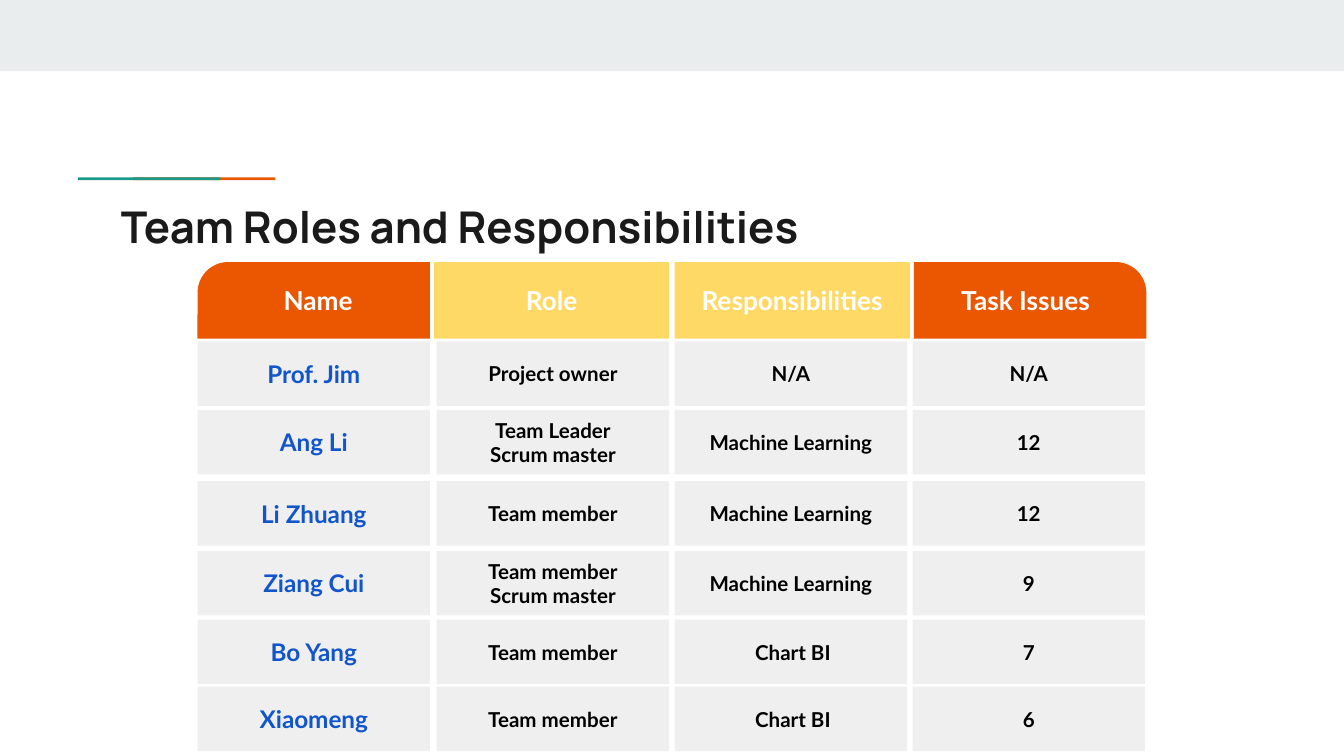
from pptx import Presentation
from pptx.dml.color import RGBColor
from pptx.enum.shapes import MSO_SHAPE as Preset
from pptx.enum.text import MSO_ANCHOR as Anchor, PP_ALIGN as Align
from pptx.util import Inches, Pt

WHITE = RGBColor(0xFF, 0xFF, 0xFF)
BLACK = RGBColor(0x00, 0x00, 0x00)
INK = RGBColor(0x1A, 0x1A, 0x1A)
MIST = RGBColor(0xE9, 0xED, 0xEE)
GREY = RGBColor(0xEF, 0xEF, 0xEF)
ORANGE = RGBColor(0xEB, 0x56, 0x00)
TEAL = RGBColor(0x1A, 0x99, 0x88)
YELLOW = RGBColor(0xFF, 0xD9, 0x66)
BLUE = RGBColor(0x11, 0x55, 0xCC)

TITLE = "Team Roles and Responsibilities"
HEADERS = [
    ("Name", 1.47, 1.73, ORANGE, Preset.ROUND_1_RECTANGLE),
    ("Role", 3.23, 1.75, YELLOW, Preset.RECTANGLE),
    ("Responsibilities", 5.02, 1.75, YELLOW, Preset.RECTANGLE),
    ("Task Issues", 6.8, 1.73, ORANGE, Preset.ROUND_1_RECTANGLE),
]
MEMBERS = [
    (2.54, ["Prof. Jim", "Project owner", "N/A", "N/A"]),
    (3.05, ["Ang Li", "Team Leader\nScrum master", "Machine Learning", "12"]),
    (3.58, ["Li Zhuang", "Team member", "Machine Learning", "12"]),
    (4.1, ["Ziang Cui", "Team member\nScrum master", "Machine Learning", "9"]),
    (4.61, ["Bo Yang", "Team member", "Chart BI", "7"]),
    (5.11, ["Xiaomeng", "Team member", "Chart BI", "6"]),
]
INDENTED = "Chart BI"
COLUMN_LEFTS = [1.47, 3.25, 5.02, 6.79]
CELL_WIDTH, CELL_HEIGHT = 1.73, 0.48
HEADER_TOP, HEADER_HEIGHT = 1.95, 0.57
HEADER_ROUNDING = 0.4


def write_text(shape, text, size, color, font="Lato", align=Align.CENTER,
               anchor=Anchor.MIDDLE, indent=0):
    frame = shape.text_frame
    frame.word_wrap = True
    frame.vertical_anchor = anchor
    frame.margin_left = frame.margin_right = Inches(0.1)
    frame.margin_top = frame.margin_bottom = Inches(0.1)
    frame.text = text
    for paragraph in frame.paragraphs:
        paragraph.alignment = align
        if indent:
            paragraph._p.get_or_add_pPr().set("marL", str(Inches(indent)))
        for run in paragraph.runs:
            run.font.name = font
            run.font.size = Pt(size)
            run.font.bold = True
            run.font.color.rgb = color


def add_block(slide, left, top, width, height, fill, preset=Preset.RECTANGLE):
    shape = slide.shapes.add_shape(
        preset, Inches(left), Inches(top), Inches(width), Inches(height))
    shape.shadow.inherit = False
    shape.fill.solid()
    shape.fill.fore_color.rgb = fill
    shape.line.fill.background()
    return shape


def add_title(slide):
    title = slide.shapes.title
    title.left, title.top = Inches(0.8), Inches(1.39)
    title.width, title.height = Inches(8.41), Inches(0.59)
    write_text(title, TITLE, 23.4, INK, font="Manrope",
               align=Align.LEFT, anchor=Anchor.TOP)


def add_headers(slide):
    for index, (label, left, width, fill, preset) in enumerate(HEADERS):
        header = add_block(slide, left, HEADER_TOP, width, HEADER_HEIGHT,
                           fill, preset)
        if preset == Preset.ROUND_1_RECTANGLE:
            header.adjustments[0] = HEADER_ROUNDING
            if index == 0:
                header._element.spPr.xfrm.set("flipH", "1")
        write_text(header, label, 14, WHITE)


def add_members(slide):
    for top, values in MEMBERS:
        for column, (left, value) in enumerate(zip(COLUMN_LEFTS, values)):
            cell = add_block(slide, left, top, CELL_WIDTH, CELL_HEIGHT, GREY)
            if column == 0:
                write_text(cell, value, 13, BLUE)
            elif value == INDENTED:
                write_text(cell, value, 11, BLACK, align=Align.LEFT, indent=0.5)
            else:
                write_text(cell, value, 11, BLACK)


def main():
    presentation = Presentation()
    presentation.slide_width = Inches(10)
    presentation.slide_height = Inches(10) * 9 // 16
    slide = presentation.slides.add_slide(presentation.slide_layouts[5])
    add_block(slide, 0, 0, 10, 0.53, MIST)
    for left, color in [(0.99, ORANGE), (0.58, TEAL)]:
        add_block(slide, left, 1.32, 1.06, 0.02, color)
    add_title(slide)
    add_headers(slide)
    add_members(slide)
    presentation.save("out.pptx")


if __name__ == "__main__":
    main()
